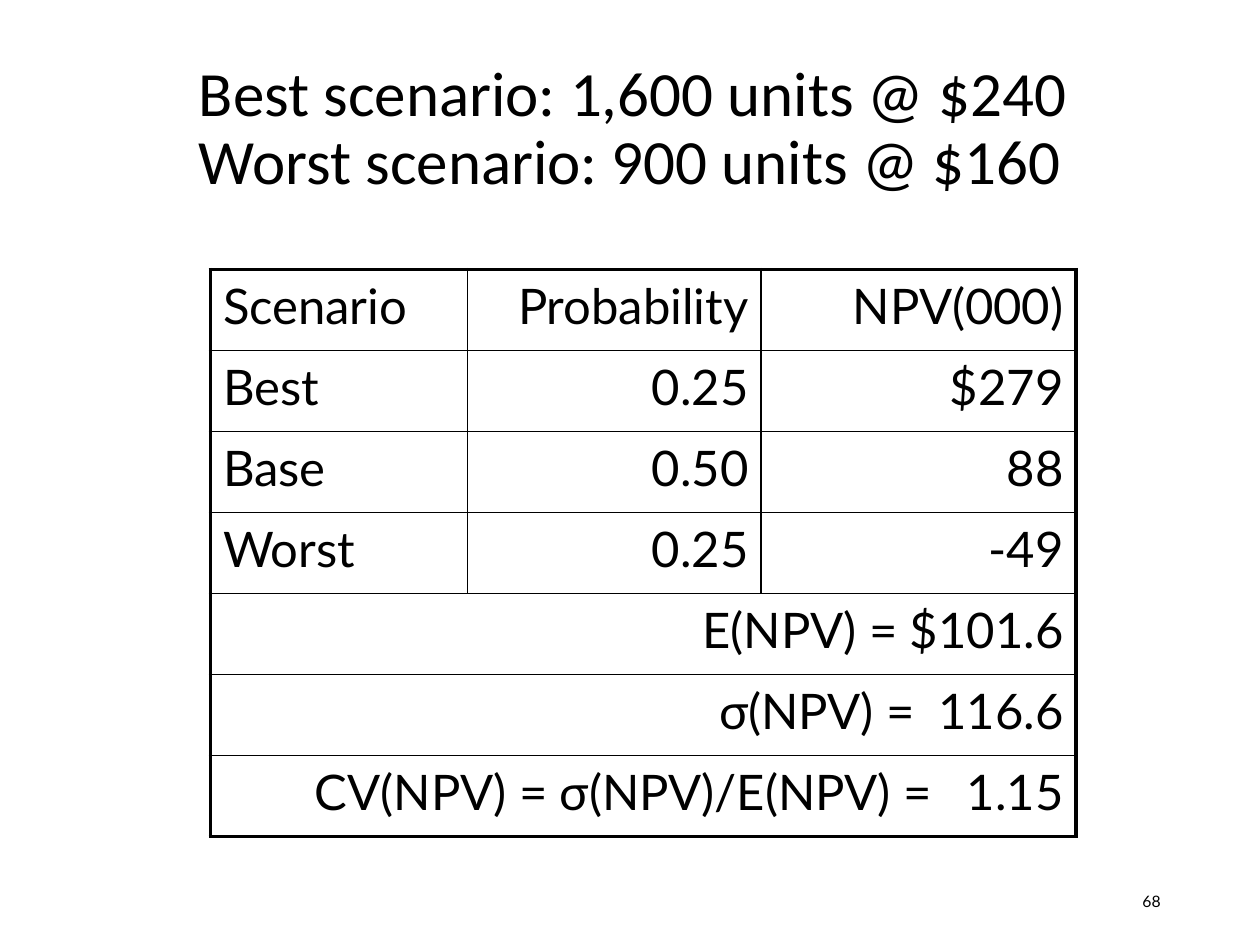
from lxml import etree
from pptx import Presentation
from pptx.dml.color import RGBColor
from pptx.enum import text
from pptx.oxml import ns
from pptx.util import Inches, Pt

BLACK = "000000"
OUTER, INNER = 2.25, 1
COLUMN_WIDTHS = [2.04, 2.33, 2.5]
TABLE_HEIGHT = 4.5
SCENARIOS = [
    ["Scenario", "Probability", "NPV(000)"],
    ["Best", "0.25", "$279"],
    ["Base", "0.50", "88"],
    ["Worst", "0.25", "-49"],
]
# Formula, result and the extra points between them
RESULTS = [
    ("E(NPV) =", "$101.6", 0),
    ("σ(NPV) =", "116.6", 6.3),
    ("CV(NPV) = σ(NPV)/E(NPV) =", "1.15", 12.6),
]


def color(value):
    return RGBColor.from_string(value)


def style_font(font, name, size):
    for key, value in {"name": name, "size": Pt(size)}.items():
        setattr(font, key, value)
    font.color.rgb = color(BLACK)


def add_text(slide, box, words, font_name, size, **paragraph_format):
    frame = slide.shapes.add_textbox(*map(Inches, box)).text_frame
    frame.word_wrap = True
    frame.vertical_anchor = text.MSO_ANCHOR.MIDDLE
    paragraph = frame.paragraphs[0]
    paragraph.text = words
    for key, value in paragraph_format.items():
        setattr(paragraph, key, value)
    for run in paragraph.runs:
        style_font(run.font, font_name, size)


def set_borders(cell, widths):
    """Draw the left, right, top and bottom borders, in points."""
    properties = cell._tc.get_or_add_tcPr()
    for position, (side, width) in enumerate(zip("LRTB", widths)):
        line = etree.Element(ns.qn(f"a:ln{side}"), w=str(Pt(width)))
        fill = etree.SubElement(line, ns.qn("a:solidFill"))
        etree.SubElement(fill, ns.qn("a:srgbClr"), val=BLACK)
        properties.insert(position, line)


def fill_cell(cell, parts, align):
    """Write (words, extra letter spacing in points) parts into a cell."""
    paragraph = cell.text_frame.paragraphs[0]
    paragraph.alignment = align
    for words, spacing in parts:
        run = paragraph.add_run()
        run.text = words
        style_font(run.font, "Lato", 28)
        if spacing:
            run.font._element.set("spc", str(round(spacing * 100)))


def add_scenario_table(slide):
    row_count, column_count = len(SCENARIOS) + len(RESULTS), len(COLUMN_WIDTHS)
    table = slide.shapes.add_table(
        row_count, column_count, Inches(1.67), Inches(2.14),
        Inches(sum(COLUMN_WIDTHS)), Inches(TABLE_HEIGHT)).table
    table.first_row = table.horz_banding = False
    for column, width in zip(table.columns, COLUMN_WIDTHS):
        column.width = Inches(width)
    for row in table.rows:
        row.height = Inches(TABLE_HEIGHT / row_count)

    for r in range(row_count):
        merged = r >= len(SCENARIOS)
        for c in range(column_count):
            cell = table.cell(r, c)
            cell.fill.background()
            at_edge = (merged or c == 0, merged or c == column_count - 1,
                       r == 0, r == row_count - 1)
            set_borders(cell, [OUTER if edge else INNER for edge in at_edge])

    for r, scenario in enumerate(SCENARIOS):
        for c, words in enumerate(scenario):
            align = text.PP_ALIGN.RIGHT if c else text.PP_ALIGN.LEFT
            fill_cell(table.cell(r, c), [(words, 0)], align)
    for r, (formula, result, gap) in enumerate(RESULTS, len(SCENARIOS)):
        table.cell(r, 0).merge(table.cell(r, column_count - 1))
        fill_cell(table.cell(r, 0), [(formula, 0), (" ", gap), (result, 0)],
                  text.PP_ALIGN.RIGHT)


def main():
    deck = Presentation()
    deck.slide_width, deck.slide_height = Inches(10), Inches(7.5)
    slide = deck.slides.add_slide(deck.slide_layouts[6])
    add_text(slide, (1.48, 0.23, 8.52, 1.6),
             "Best scenario: 1,600 units @ $240\v"
             "Worst scenario: 900 units @ $160",
             "Calibri", 36, line_spacing=0.9)
    add_scenario_table(slide)
    add_text(slide, (7.06, 6.95, 2.25, 0.4), "68", "Lato", 9,
             alignment=text.PP_ALIGN.RIGHT)
    deck.save("out.pptx")


if __name__ == "__main__":
    main()
